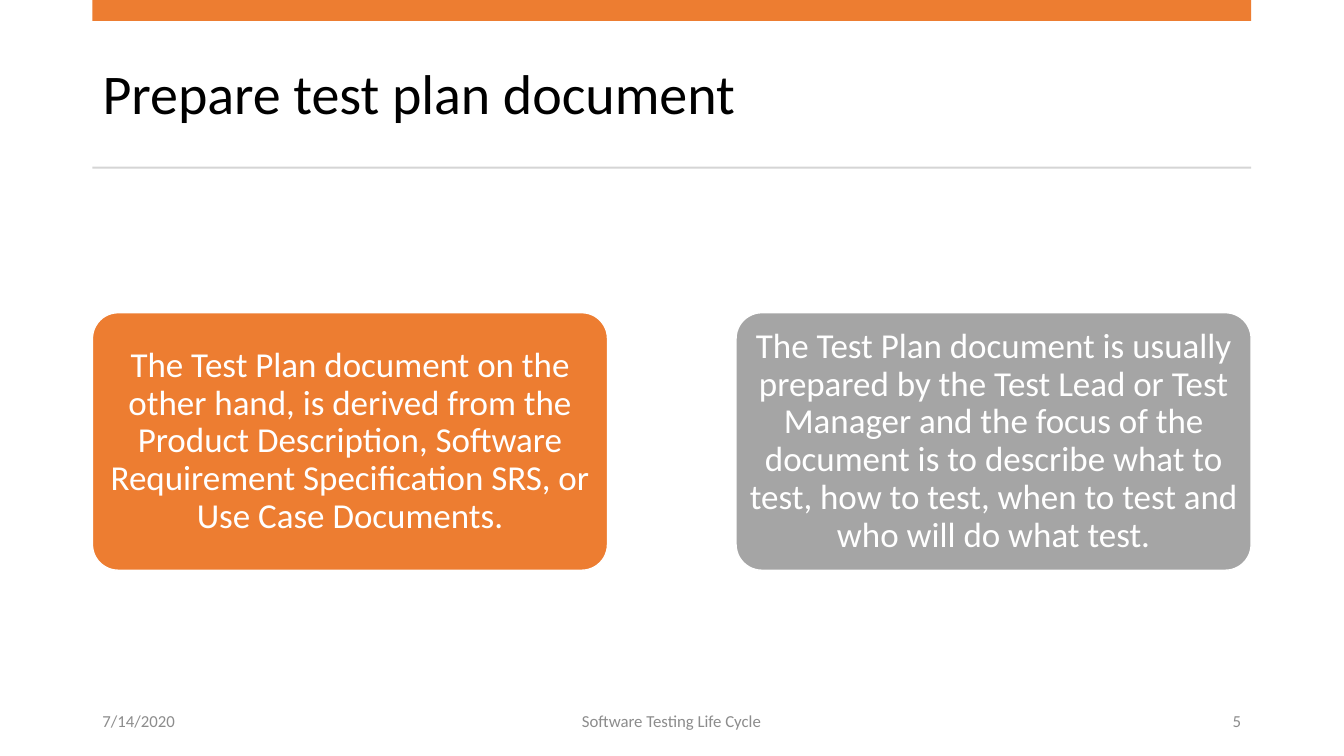
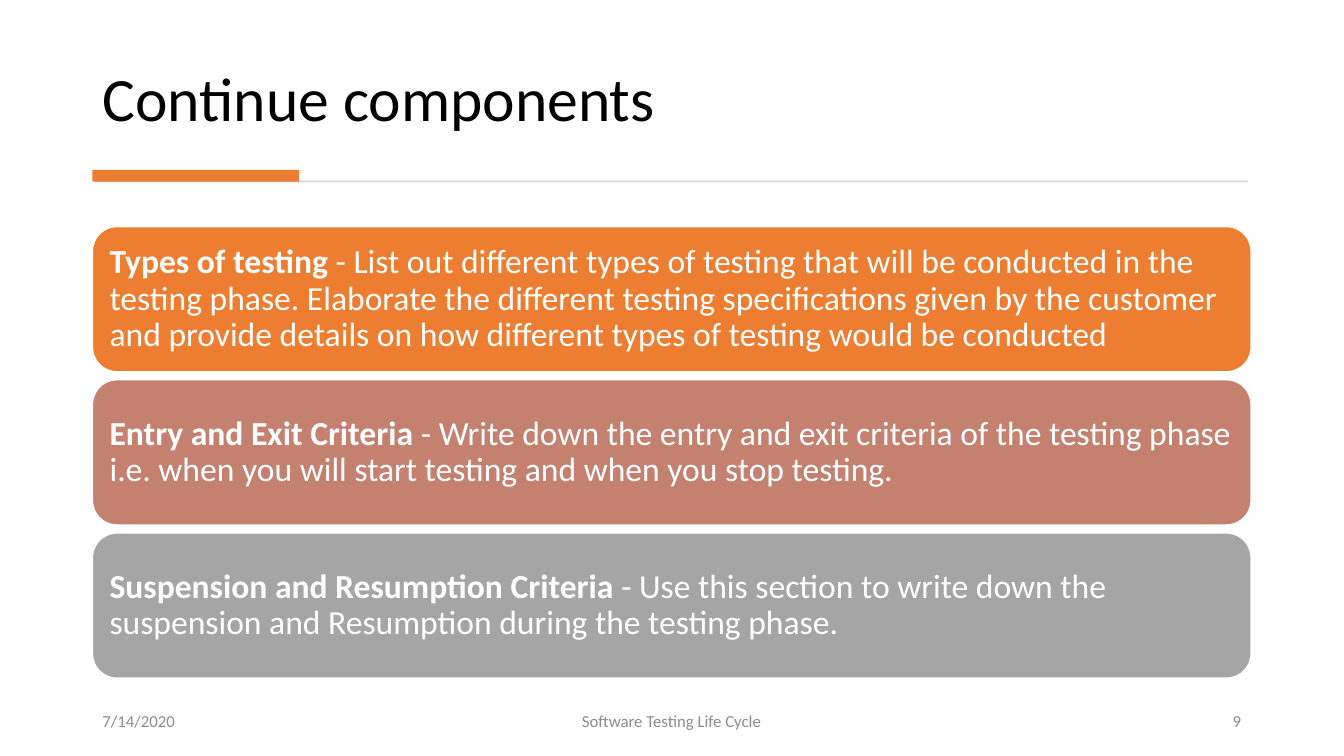
from pptx import Presentation
from pptx.dml.color import RGBColor
from pptx.enum.shapes import MSO_SHAPE as SHAPE
from pptx.enum.text import MSO_ANCHOR as ANCHOR, MSO_AUTO_SIZE as AUTO, PP_ALIGN as ALIGN
from pptx.util import Cm, Pt

FONT = "Calibri"
ORANGE, ROSE, GRAY = "ED7D31", "C48170", "A5A5A5"
RULE, MUTED, WHITE, BLACK = "D5D5D5", "8C8C8C", "FFFFFF", "000000"
LEFT, WIDTH = 2.33, 29.2  # content column, cm

DATE, FOOTER = "7/14/2020", "Software Testing Life Cycle"

# Each card is a fill and its runs: (text, bold)
PLAN_CARDS = [
    (ORANGE, [("The Test Plan document on the other hand, is derived from the Product "
               "Description, Software Requirement Specification SRS, or Use Case "
               "Documents.", False)]),
    (GRAY, [("The Test Plan document is usually prepared by the Test Lead or Test Manager "
             "and the focus of the document is to describe what to test, how to test, "
             "when to test and who will do what test.", False)]),
]
COMPONENT_CARDS = [
    (ORANGE, [("Types of testing", True),
              ("\u00a0- List out different types of testing that will be conducted in the "
               "testing phase. Elaborate the different testing specifications given by the "
               "customer and provide details on how different types of testing would be "
               "conducted", False)]),
    (ROSE, [("Entry and Exit Criteria", True),
            ("\u00a0- Write down the entry and exit criteria of the testing phase i.e. when "
             "you will start testing and when you stop testing.", False)]),
    (GRAY, [("Suspension and Resumption Criteria", True),
            ("\u00a0- Use this section to write down the suspension and Resumption during "
             "the testing phase.", False)]),
]


def rgb(color):
    """Turn a hex string into a colour."""
    return RGBColor.from_string(color)


def style(p, size, color, align=ALIGN.LEFT, spacing=None):
    """Format one paragraph."""
    p.alignment, p.line_spacing = align, spacing
    p.font.name, p.font.size = FONT, Pt(size)
    p.font.color.rgb = rgb(color)


def add_box(s, kind, x, y, w, h, fill):
    """Add a filled shape without line or shadow; lengths in cm."""
    sp = s.shapes.add_shape(kind, Cm(x), Cm(y), Cm(w), Cm(h))
    sp.shadow.inherit = False
    sp.fill.solid()
    sp.fill.fore_color.rgb = rgb(fill)
    sp.line.fill.background()
    return sp


def add_card(s, x, y, w, h, card, size, align, margins, radius):
    """Add a rounded card with white text."""
    fill, runs = card
    sp = add_box(s, SHAPE.ROUNDED_RECTANGLE, x, y, w, h, fill)
    sp.adjustments[0] = radius
    sp.line.color.rgb = rgb(WHITE)
    sp.line.width = Pt(1)
    tf = sp.text_frame
    tf.word_wrap, tf.vertical_anchor = True, ANCHOR.MIDDLE
    tf.margin_left = tf.margin_right = Cm(margins[0])
    tf.margin_top = tf.margin_bottom = Cm(margins[1])
    p = tf.paragraphs[0]
    style(p, size, WHITE, align, 0.9)
    for text, bold in runs:
        r = p.add_run()
        r.text, r.font.bold = text, bold


def add_footer(s, number):
    """Add date, footer text and slide number."""
    middle = LEFT + WIDTH / 2
    for text, x, w, align in [
        (DATE, LEFT, 7.62, ALIGN.LEFT),
        (FOOTER, middle - 5.72, 11.43, ALIGN.CENTER),
        (str(number), LEFT + WIDTH - 7.62, 7.62, ALIGN.RIGHT),
    ]:
        tf = s.shapes.add_textbox(Cm(x), Cm(17.66), Cm(w), Cm(1.01)).text_frame
        tf.word_wrap, tf.vertical_anchor = True, ANCHOR.MIDDLE
        tf.text = text
        style(tf.paragraphs[0], 12, MUTED, align)


def new_slide(prs, title, y, h, size, anchor, number):
    """Add a slide with its title and footer."""
    s = prs.slides.add_slide(prs.slide_layouts[5])
    sp = s.shapes.title
    sp.left, sp.top, sp.width, sp.height = Cm(LEFT), Cm(y), Cm(WIDTH), Cm(h)
    tf = sp.text_frame
    tf.text = title
    tf.word_wrap, tf.auto_size, tf.vertical_anchor = True, AUTO.NONE, anchor
    style(tf.paragraphs[0], size, BLACK, spacing=0.9)
    add_footer(s, number)
    return s


def build_plan(prs):
    """Two cards side by side, at the edges of the column."""
    s = new_slide(prs, "Prepare test plan document", 0.94, 3, 40, ANCHOR.MIDDLE, 5)
    add_box(s, SHAPE.RECTANGLE, LEFT, 0, WIDTH, 0.53, ORANGE)
    add_box(s, SHAPE.RECTANGLE, LEFT, 4.2, WIDTH, 0.05, RULE)
    card_w = 12.98
    for i, card in enumerate(PLAN_CARDS):
        add_card(s, LEFT + i * (WIDTH - card_w), 7.88, card_w, 6.49, card,
                 25, ALIGN.CENTER, (0.13, 0.08), 0.1)


def build_components(prs):
    """Three full-width cards stacked with equal gaps."""
    s = new_slide(prs, "Continue components", 0.71, 2.82, 44, ANCHOR.BOTTOM, 9)
    add_box(s, SHAPE.RECTANGLE, LEFT + 0.08, 4.55, WIDTH - 0.16, 0.05, RULE)
    add_box(s, SHAPE.RECTANGLE, LEFT, 4.28, 5.21, 0.3, ORANGE)
    card_h, gap = 3.66, 0.2
    for i, card in enumerate(COMPONENT_CARDS):
        add_card(s, LEFT, 5.71 + i * (card_h + gap), WIDTH, card_h, card,
                 24, ALIGN.LEFT, (0.25, 0.25), 0.17)


prs = Presentation()
prs.slide_width, prs.slide_height = Cm(33.87), Cm(19.05)
build_plan(prs)
build_components(prs)
prs.save("out.pptx")
